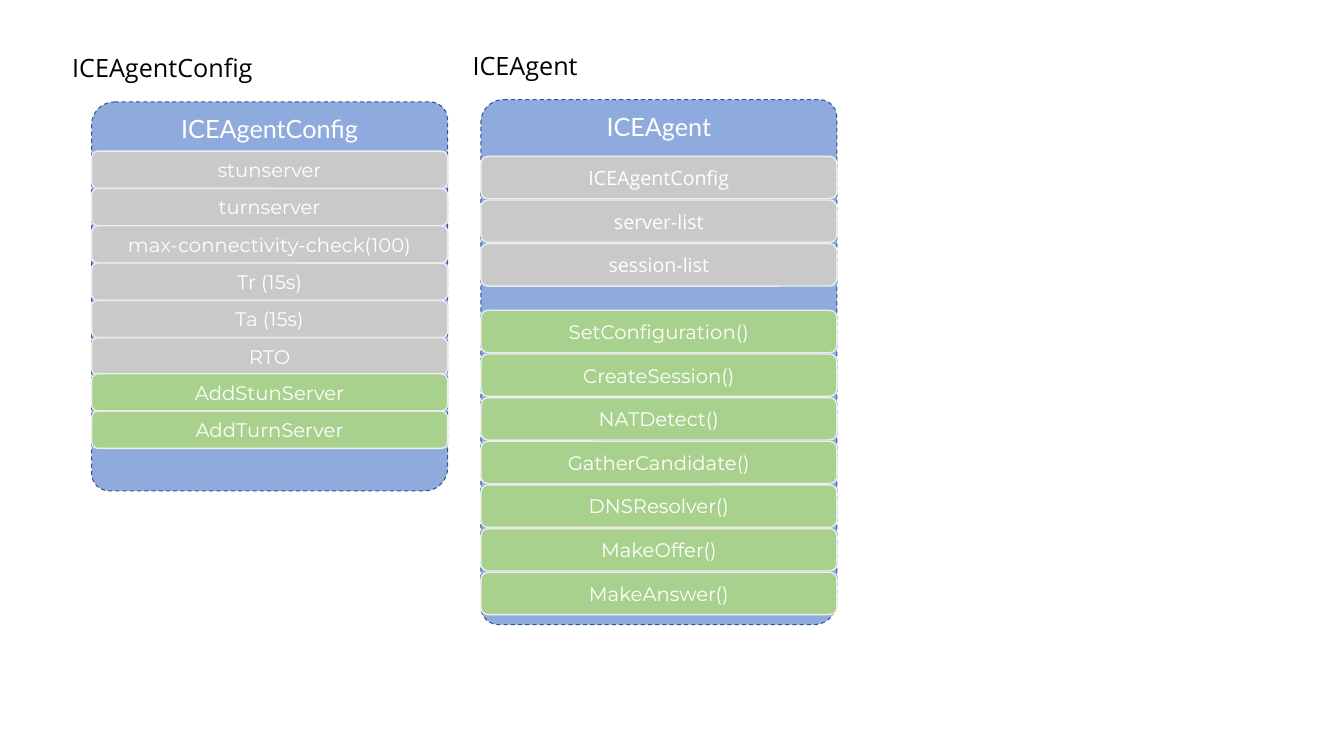
import pptx
import pptx.util
import pptx.dml.color
import pptx.enum.dml
import pptx.enum.shapes
import pptx.enum.text
from dataclasses import dataclass

Cm, Pt = pptx.util.Cm, pptx.util.Pt
RGB = pptx.dml.color.RGBColor.from_string
SHAPE = pptx.enum.shapes.MSO_SHAPE
ALIGN = pptx.enum.text.PP_ALIGN
ANCHOR = pptx.enum.text.MSO_ANCHOR


@dataclass
class Theme:
    card: str = "8FAADC"
    card_edge: str = "325491"
    field: str = "C9C9C9"
    method: str = "A9D18E"
    row_edge: str = "EDEDED"
    white: str = "FFFFFF"
    black: str = "000000"
    heading_size: int = 18
    row_size: int = 14
    label_font: str = "Open Sans"
    title_font: str = "Lato"
    row_font: str = "Montserrat"


theme = Theme()


def write(shape, words, font, size, color, align, anchor):
    frame = shape.text_frame
    frame.text = words
    frame.vertical_anchor = anchor
    paragraph = frame.paragraphs[0]
    paragraph.alignment = align
    run_font = paragraph.runs[0].font
    run_font.name, run_font.size = font, Pt(size)
    run_font.color.rgb = RGB(color)


def add_box(shapes, kind, box, fill, edge, edge_width):
    shape = shapes.add_shape(kind, *map(Cm, box))
    shape.shadow.inherit = False
    shape.fill.solid()
    shape.fill.fore_color.rgb = RGB(fill)
    shape.line.color.rgb = RGB(edge)
    shape.line.width = Pt(edge_width)
    return shape


presentation = pptx.Presentation()
presentation.slide_width, presentation.slide_height = Cm(33.87), Cm(19.05)
slide = presentation.slides.add_slide(presentation.slide_layouts[6])

# Classes: label box, card box, row pitch and height,
# then bands of rows as (first top, fill, font, names)
CARD_WIDTH = 8.97
classes = [
    ("ICEAgentConfig", (1.57, 1.19, 5.92, 1.02), (2.31, 2.57, CARD_WIDTH, 9.8), 0.94, 0.94, [
        (3.81, theme.field, theme.row_font,
         ["stunserver", "turnserver", "max-connectivity-check(100)",
          "Tr (15s)", "Ta (15s)", "RTO"]),
        (9.42, theme.method, theme.row_font, ["AddStunServer", "AddTurnServer"]),
    ]),
    ("ICEAgent", (11.66, 1.14, 3.73, 1.02), (12.12, 2.51, CARD_WIDTH, 13.23), 1.1, 1.07, [
        (3.94, theme.field, theme.label_font,
         ["ICEAgentConfig", "server-list", "session-list"]),
        (7.82, theme.method, theme.row_font,
         ["SetConfiguration()", "CreateSession()", "NATDetect()", "GatherCandidate()",
          "DNSResolver()", "MakeOffer()", "MakeAnswer()"]),
    ]),
]

for class_name, label_box, card_box, pitch, row_height, bands in classes:
    # Label above the card
    label = slide.shapes.add_textbox(*map(Cm, label_box))
    label.text_frame.word_wrap = False
    label.text_frame.auto_size = pptx.enum.text.MSO_AUTO_SIZE.SHAPE_TO_FIT_TEXT
    write(label, class_name, theme.label_font, theme.heading_size, theme.black,
          ALIGN.LEFT, ANCHOR.TOP)

    # Dashed card with the class name
    class_group = slide.shapes.add_group_shape().shapes
    card = add_box(class_group, SHAPE.ROUND_2_DIAG_RECTANGLE, card_box,
                   theme.card, theme.card_edge, 0.75)
    card.adjustments[0], card.adjustments[1] = 0.064, 0.049
    card.line.dash_style = pptx.enum.dml.MSO_LINE.DASH
    write(card, class_name, theme.title_font, theme.heading_size, theme.white,
          ALIGN.CENTER, ANCHOR.TOP)

    # Fields and methods
    for first_top, fill, font, members in bands:
        for index, member in enumerate(members):
            row_box = (card_box[0], first_top + index * pitch, CARD_WIDTH, row_height)
            row = add_box(class_group, SHAPE.ROUNDED_RECTANGLE, row_box,
                          fill, theme.row_edge, 1)
            write(row, member, font, theme.row_size, theme.white,
                  ALIGN.CENTER, ANCHOR.MIDDLE)

presentation.save("out.pptx")
